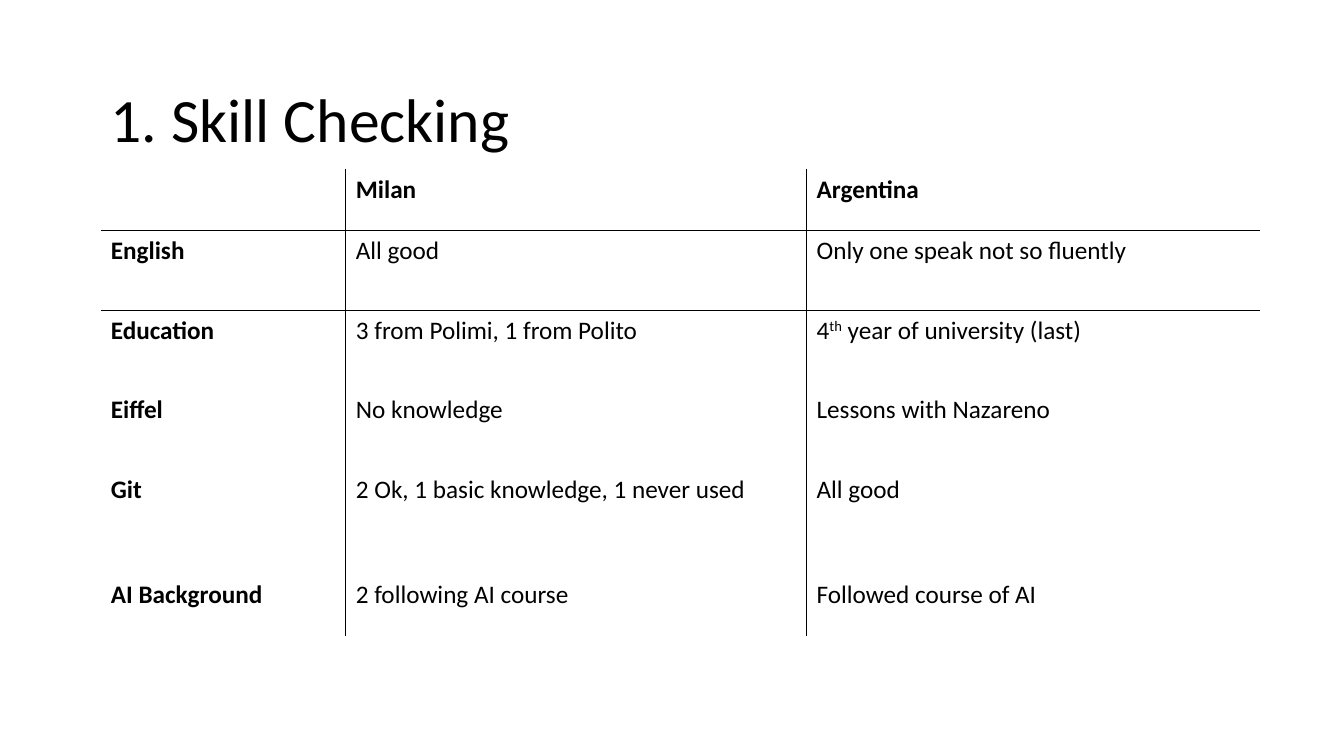
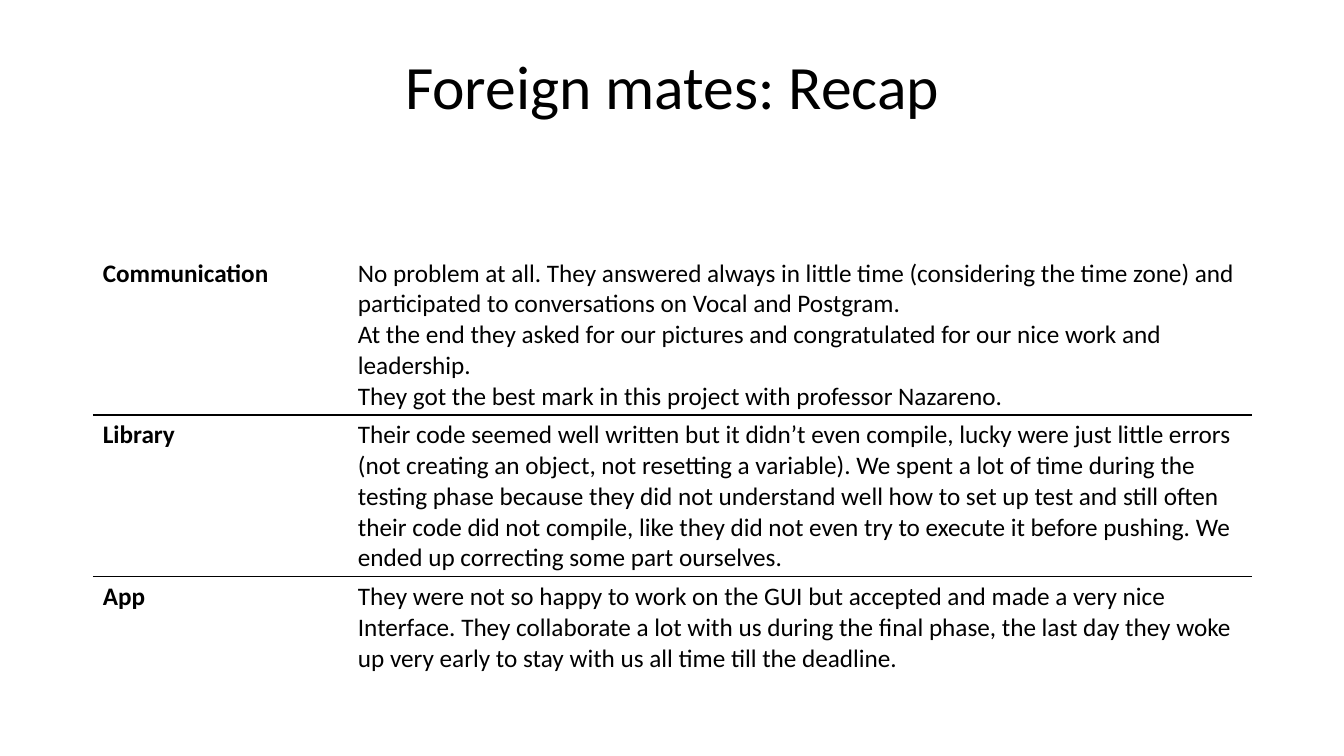
from lxml import etree
from pptx import Presentation
from pptx.dml.color import RGBColor
from pptx.enum.text import MSO_ANCHOR, PP_ALIGN
from pptx.oxml.ns import qn
from pptx.util import Inches, Pt

BLACK = RGBColor(0x00, 0x00, 0x00)
FONT = "Calibri"
TITLE_SIZE, BODY_SIZE = 44, 18
RULE_WIDTH = Pt(1)
SLIDE_W, SLIDE_H = 13.33, 7.5
CONTENT_W, TITLE_H = 11.5, 1.45

SKILLS = [
    ["", "Milan", "Argentina"],
    ["English", "All good", "Only one speak not so fluently"],
    ["Education", "3 from Polimi, 1 from Polito", "4^th^ year of university (last)"],
    ["Eiffel", "No knowledge", "Lessons with Nazareno"],
    ["Git", "2 Ok, 1 basic knowledge, 1 never used", "All good"],
    ["AI Background", "2 following AI course", "Followed course of AI"],
]

RECAP = [
    ["Communication",
     "No problem at all. They answered always in little time (considering the time zone) "
     "and participated to conversations on Vocal and Postgram.\n"
     "At the end they asked for our pictures and congratulated for our nice work and "
     "leadership.\n"
     "They got the best mark in this project with professor Nazareno."],
    ["Library",
     "Their code seemed well written but it didn’t even compile, lucky were just little "
     "errors (not creating an object, not resetting a variable). We spent a lot of time "
     "during the testing phase because they did not understand well how to set up test "
     "and still often their code did not compile, like they did not even try to execute "
     "it before pushing. We ended up correcting some part ourselves."],
    ["App",
     "They were not so happy to work on the GUI but accepted and made a very nice "
     "Interface. They collaborate a lot with us during the final phase, the last day they "
     "woke up very early to stay with us all time till the deadline."],
]


def add_runs(p, text, size, bold=False):
    """Add text to a paragraph; what stands between two ^ is superscript."""
    for i, part in enumerate(text.split("^")):
        r = p.add_run()
        r.text = part
        font = r.font
        font.name, font.size, font.bold = FONT, Pt(size), bold
        font.color.rgb = BLACK
        if i % 2:
            r._r.get_or_add_rPr().set("baseline", "30000")


def add_title(slide, box, text, align):
    tf = slide.shapes.add_textbox(*map(Inches, box)).text_frame
    tf.word_wrap = True
    tf.vertical_anchor = MSO_ANCHOR.MIDDLE
    p = tf.paragraphs[0]
    p.alignment, p.line_spacing = align, 0.9
    add_runs(p, text, TITLE_SIZE)


def set_borders(cell, ruled_sides):
    """Rule the given sides (of L, R, T, B) and clear the others."""
    tc_pr = cell._tc.get_or_add_tcPr()
    for side in "LRTB":
        ln = etree.SubElement(tc_pr, qn(f"a:ln{side}"), w=str(RULE_WIDTH))
        if side in ruled_sides:
            fill = etree.SubElement(ln, qn("a:solidFill"))
            etree.SubElement(fill, qn("a:srgbClr"), val=str(BLACK))
        else:
            etree.SubElement(ln, qn("a:noFill"))


def add_ruled_table(slide, box, data, col_parts, row_parts, col_rules, row_rules,
                    header=False):
    """Share the box out by parts; rules name the inner grid lines that show."""
    left, top, width, height = box
    table = slide.shapes.add_table(len(data), len(data[0]), *map(Inches, box)).table
    table.first_row = table.horz_banding = False
    for col, part in zip(table.columns, col_parts):
        col.width = Inches(width * part / sum(col_parts))
    for row, part in zip(table.rows, row_parts):
        row.height = Inches(height * part / sum(row_parts))

    for i, texts in enumerate(data):
        for j, text in enumerate(texts):
            cell = table.cell(i, j)
            sides = {"L": j in col_rules, "R": j + 1 in col_rules,
                     "T": i in row_rules, "B": i + 1 in row_rules}
            set_borders(cell, [side for side, ruled in sides.items() if ruled])
            cell.fill.background()
            tf = cell.text_frame
            for k, line in enumerate(text.split("\n")):
                p = tf.add_paragraph() if k else tf.paragraphs[0]
                add_runs(p, line, BODY_SIZE, bold=j == 0 or (header and i == 0))


def build_skills(slide, left=1):
    add_title(slide, (left, 0.49, CONTENT_W, TITLE_H), "1. Skill Checking", PP_ALIGN.LEFT)
    add_ruled_table(slide, (left, 1.68, CONTENT_W, 4.63), SKILLS,
                    col_parts=(2.43, 4.57, 4.5),
                    row_parts=(0.61, 0.79, 0.79, 0.79, 1.05, 0.61),
                    col_rules={1, 2}, row_rules={1, 2}, header=True)


def build_recap(slide, left=0.92):
    add_title(slide, (left, 0.16, CONTENT_W, TITLE_H), "Foreign mates: Recap",
              PP_ALIGN.CENTER)
    add_ruled_table(slide, (left, 2.51, CONTENT_W, 4.82), RECAP,
                    col_parts=(2.53, 8.97), row_parts=(1, 1, 1),
                    col_rules=set(), row_rules={1, 2})


def main():
    prs = Presentation()
    prs.slide_width, prs.slide_height = Inches(SLIDE_W), Inches(SLIDE_H)
    blank = prs.slide_layouts[6]
    for build in (build_skills, build_recap):
        build(prs.slides.add_slide(blank))
    prs.save("out.pptx")


if __name__ == "__main__":
    main()
